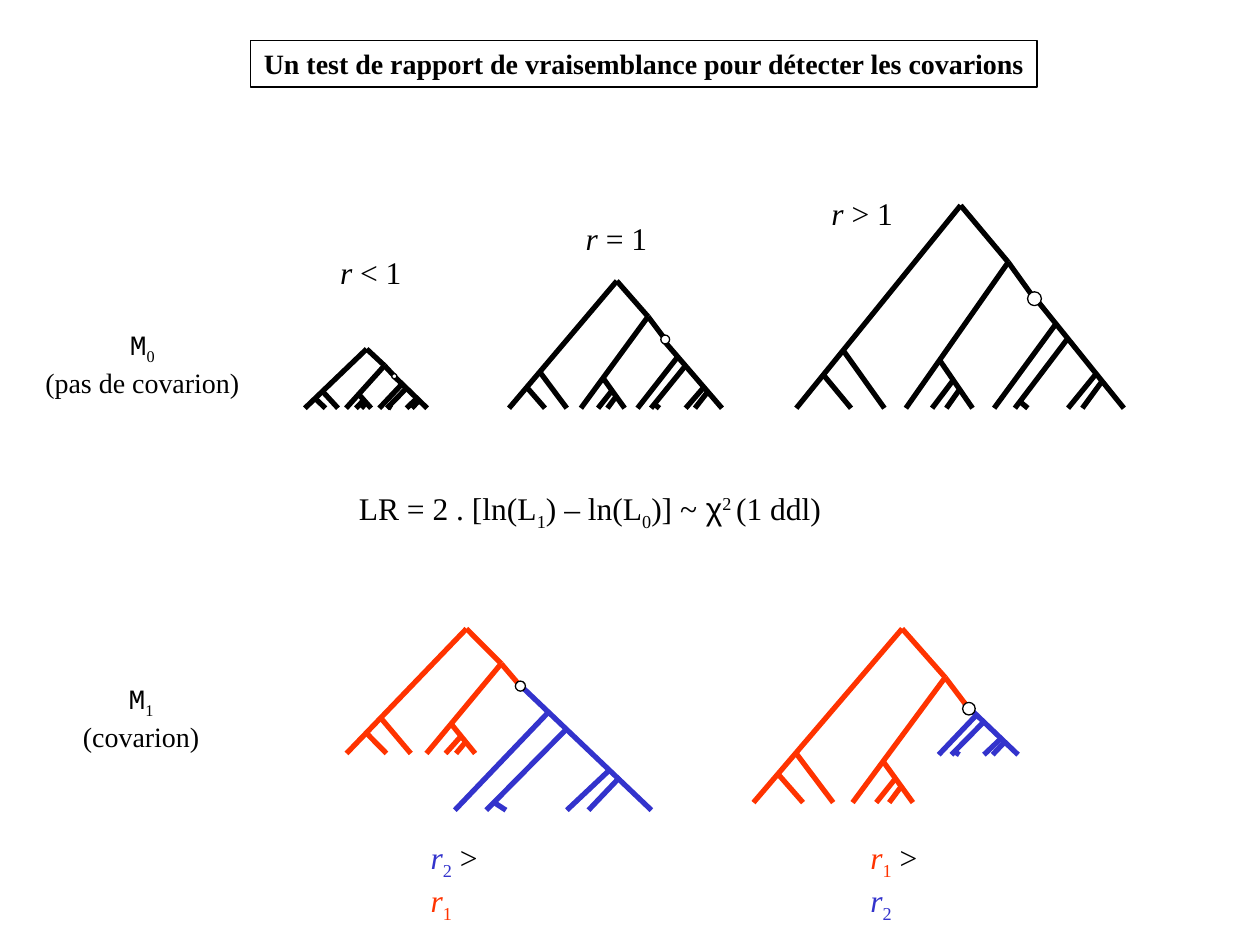
from lxml.etree import SubElement
from pptx import Presentation
from pptx.dml.color import RGBColor
from pptx.enum.shapes import MSO_CONNECTOR, MSO_SHAPE
from pptx.enum.text import MSO_AUTO_SIZE, PP_ALIGN
from pptx.oxml.ns import qn
from pptx.util import Inches, Pt

COLS, ROWS = 100, 75
BLACK, WHITE, RED, BLUE = "000000", "FFFFFF", "FF3300", "3333CC"
SERIF, MONO, SANS = "Times New Roman", "Courier New", "Arial"
SUB, SUP = -25000, 30000

UPPER = [
    (0, 1, 0.69, 0), (0.69, 0, 0.89, 0.28), (0.89, 0.28, 1, 0.46),
    (0.2, 0.72, 0.37, 1), (0.11, 0.83, 0.23, 1), (0.89, 0.28, 0.46, 1),
    (0.6, 0.76, 0.74, 1), (0.69, 0.9, 0.63, 1), (0.66, 0.86, 0.57, 1),
]
LOWER = [
    (0.32, 0, 1, 1), (0.57, 0.36, 0.16, 1), (0.2, 0.94, 0.26, 1),
    (0.79, 0.68, 0.57, 1), (0.84, 0.74, 0.68, 1), (0.47, 0.24, 0, 1),
]

prs = Presentation()
prs.slide_width, prs.slide_height = Inches(10), Inches(7.5)
s = prs.slides.add_slide(prs.slide_layouts[6])


def color(value):
    return RGBColor.from_string(value)


def place(x, y):
    return int(prs.slide_width * x / COLS), int(prs.slide_height * y / ROWS)


def add_run(p, text, size, font=SERIF, fill=BLACK, bold=False, italic=False, base=0):
    r = p.add_run()
    r.text = text
    r.font.size, r.font.name = Pt(size), font
    r.font.bold, r.font.italic = bold, italic
    r.font.color.rgb = color(fill)
    if base:
        r._r.get_or_add_rPr().set("baseline", str(base))


def add_text(box, *lines, size=18, align=PP_ALIGN.LEFT, wrap=False, **fmt):
    x, y, w, h = box
    sp = s.shapes.add_textbox(*place(x, y), *place(w, h))
    tf = sp.text_frame
    tf.word_wrap = wrap
    tf.auto_size = MSO_AUTO_SIZE.SHAPE_TO_FIT_TEXT
    for i, line in enumerate(lines):
        p = tf.paragraphs[0] if i == 0 else tf.add_paragraph()
        p.alignment = align
        for text, own in line:
            add_run(p, text, size, **{**fmt, **own})
    return sp


def add_branches(box, branches, fill):
    x, y, w, h = box
    for x1, y1, x2, y2 in branches:
        c = s.shapes.add_connector(
            MSO_CONNECTOR.STRAIGHT,
            *place(x + w * x1, y + h * y1), *place(x + w * x2, y + h * y2))
        c.line.color.rgb = color(fill)
        c.line.width = Pt(3)
        SubElement(c._element.spPr, qn("a:effectLst"))


def add_tree(upper, lower, node, upper_fill=BLACK, lower_fill=BLACK):
    add_branches(lower, LOWER, lower_fill)
    add_branches(upper, UPPER, upper_fill)
    x, y, w, h = upper
    sp = s.shapes.add_shape(
        MSO_SHAPE.OVAL, *place(x + w - node / 2, y + 0.46 * h - node / 2),
        *place(node, node))
    sp.shadow.inherit = False
    sp.fill.solid()
    sp.fill.fore_color.rgb = color(WHITE)
    sp.line.color.rgb = color(BLACK)
    sp.line.width = Pt(0.75)


def add_title(box):
    title = "Un test de rapport de vraisemblance pour détecter les covarions"
    sp = add_text(box, [(title, {})], size=16, bold=True, align=PP_ALIGN.CENTER)
    sp.line.color.rgb = color(BLACK)
    sp.line.width = Pt(0.75)


def add_formula(box):
    sub = {"base": SUB}
    add_text(box, [
        ("LR = 2 . [ln(L", {}), ("1", sub), (") – ln(L", {}), ("0", sub),
        (")] ~", {}), (" χ", {"font": SANS}), ("2 ", {"base": SUP}),
        ("(1 ddl)", {})], wrap=True)


def add_model(box, index, caption):
    add_text(box, [("M", {"font": MONO}), (index, {"base": SUB})],
             [(caption, {})], size=16, align=PP_ALIGN.CENTER)


def add_rate(box, relation):
    add_text(box, [("r ", {"italic": True}), (relation, {})])


def add_rate_order(box, *rates):
    (i, first), (j, second) = rates
    add_text(box, [
        ("r", {"italic": True, "fill": first}), (i, {"fill": first, "base": SUB}),
        (" > ", {}),
        ("r", {"italic": True, "fill": second}), (j, {"fill": second, "base": SUB})])


add_title((19.9, 3.2, 62.4, 3.7))
add_formula((27.5, 38.3, 40.8, 4.4))

add_model((2.6, 25.5, 17.4, 6.7), "0", "(pas de covarion)")
add_tree((24.2, 27.7, 7.1, 4.7), (30.1, 29.9, 3.8, 2.5), 0.4)
add_tree((40.4, 22.3, 12.4, 10.1), (50.6, 27.1, 6.7, 5.3), 0.7)
add_tree((63.2, 16.3, 18.9, 16.1), (78.9, 23.7, 10.3, 8.7), 1.1)
for x, y, relation in [(26, 19.6, "< 1"), (45.5, 16.9, "= 1"), (65, 14.9, "> 1")]:
    add_rate((x, y, 6.9, 4), relation)

add_model((5.6, 53.6, 11.2, 6.7), "1", "(covarion)")
add_tree((27.5, 49.9, 13.8, 9.9), (36.1, 54.2, 15.6, 10.1), 0.8, RED, BLUE)
add_tree((59.8, 49.9, 17.1, 13.8), (74.5, 55.8, 6.3, 4.1), 1, RED, BLUE)
add_rate_order((33.2, 66, 8, 4.4), ("2", BLUE), ("1", RED))
add_rate_order((68.1, 66, 8, 4.4), ("1", RED), ("2", BLUE))

prs.save("out.pptx")
